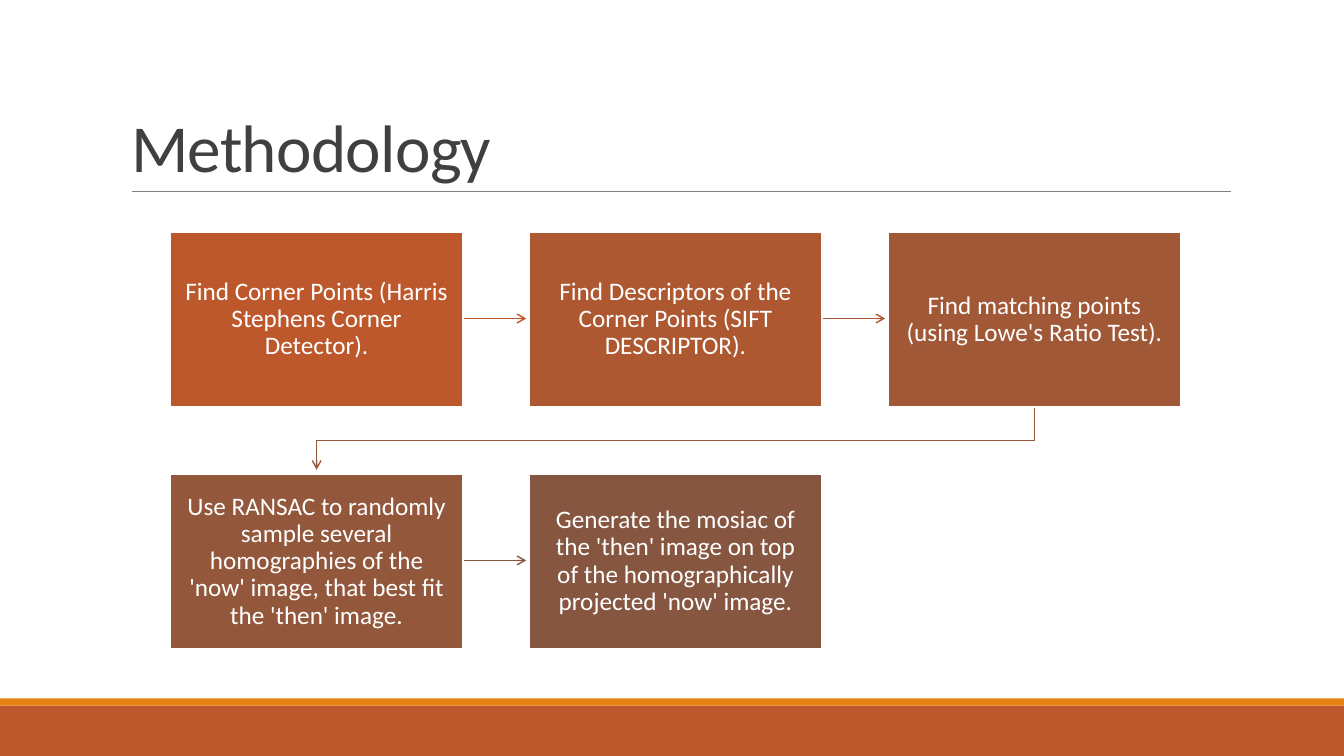
from lxml.etree import SubElement
from pptx import Presentation
from pptx.dml.color import RGBColor
from pptx.enum.shapes import MSO_CONNECTOR, MSO_SHAPE
from pptx.enum.text import MSO_ANCHOR, MSO_AUTO_SIZE, PP_ALIGN
from pptx.oxml.ns import qn
from pptx.util import Inches, Pt

WHITE = RGBColor(0xFF, 0xFF, 0xFF)
GRAY = RGBColor(0x80, 0x80, 0x80)
DARK_GRAY = RGBColor(0x40, 0x40, 0x40)
RUST = RGBColor(0xBD, 0x58, 0x2C)
ORANGE = RGBColor(0xE4, 0x83, 0x12)

STEPS = [
    ("Find Corner Points (Harris Stephens Corner Detector).", RUST),
    ("Find Descriptors of the Corner Points (SIFT DESCRIPTOR).", RGBColor(0xAE, 0x58, 0x32)),
    ("Find matching points (using Lowe's Ratio Test).", RGBColor(0xA0, 0x58, 0x37)),
    ("Use RANSAC to randomly sample several homographies of the 'now' image, that best fit the 'then' image.",
     RGBColor(0x93, 0x57, 0x3C)),
    ("Generate the mosiac of the 'then' image on top of the homographically projected 'now' image.",
     RGBColor(0x86, 0x56, 0x40)),
]
ARROW_COLORS = [RUST, RGBColor(0xAA, 0x58, 0x34), RGBColor(0x97, 0x57, 0x3A), RGBColor(0x86, 0x56, 0x40)]

COLUMNS = 3
GRID_LEFT, GRID_TOP = 1.69, 2.3
COLUMN_STEP, ROW_STEP = 3.56, 2.4
BOX_WIDTH, BOX_HEIGHT = 2.9, 1.74
ARROW_LENGTH = 0.63


class SlideBuilder:
    font_name = "Calibri"

    def __init__(self, slide):
        self.slide = slide

    def style_text(self, paragraph, size, color, alignment, line_spacing):
        paragraph.alignment = alignment
        paragraph.line_spacing = line_spacing
        for run in paragraph.runs:
            run.font.name = self.font_name
            run.font.size = Pt(size)
            run.font.color.rgb = color

    def title(self, text, left, top, width, height):
        shape = self.slide.shapes.title
        shape.left, shape.top = Inches(left), Inches(top)
        shape.width, shape.height = Inches(width), Inches(height)
        text_frame = shape.text_frame
        text_frame.text = text
        text_frame.auto_size = MSO_AUTO_SIZE.NONE
        text_frame.vertical_anchor = MSO_ANCHOR.BOTTOM
        paragraph = text_frame.paragraphs[0]
        self.style_text(paragraph, 48, DARK_GRAY, PP_ALIGN.LEFT, 0.85)
        paragraph.runs[0].font._element.set("spc", "-50")

    def rectangle(self, left, top, width, height, fill, outline=None):
        shape = self.slide.shapes.add_shape(
            MSO_SHAPE.RECTANGLE, Inches(left), Inches(top), Inches(width), Inches(height))
        shape.shadow.inherit = False
        shape.fill.solid()
        shape.fill.fore_color.rgb = fill
        if outline is None:
            shape.line.fill.background()
        else:
            shape.line.color.rgb = outline
            shape.line.width = Pt(1.25)
        return shape

    def step_box(self, text, left, top, fill):
        text_frame = self.rectangle(left, top, BOX_WIDTH, BOX_HEIGHT, fill, WHITE).text_frame
        text_frame.text = text
        text_frame.word_wrap = True
        text_frame.vertical_anchor = MSO_ANCHOR.MIDDLE
        text_frame.margin_left = text_frame.margin_right = Inches(0.14)
        text_frame.margin_top = text_frame.margin_bottom = Inches(0.15)
        paragraph = text_frame.paragraphs[0]
        self.style_text(paragraph, 18, WHITE, PP_ALIGN.CENTER, 0.9)
        paragraph.space_after = Pt(6.3)

    def line(self, start, end, color, width):
        connector = self.slide.shapes.add_connector(
            MSO_CONNECTOR.STRAIGHT, *(Inches(value) for value in (*start, *end)))
        connector.line.color.rgb = color
        connector.line.width = Pt(width)
        SubElement(connector._element.spPr, qn("a:effectLst"))
        return connector

    def arrow(self, start, end, color):
        self.add_arrowhead(self.line(start, end, color, 1))

    def bent_arrow(self, points, color):
        corners = [(Inches(x), Inches(y)) for x, y in points]
        builder = self.slide.shapes.build_freeform(*corners[0])
        builder.add_line_segments(corners[1:], close=False)
        shape = builder.convert_to_shape()
        shape.shadow.inherit = False
        shape.fill.background()
        shape.line.color.rgb = color
        shape.line.width = Pt(1)
        self.add_arrowhead(shape)

    def add_arrowhead(self, shape):
        SubElement(shape.line._get_or_add_ln(), qn("a:tailEnd"), type="arrow")


def box_position(index):
    row, column = divmod(index, COLUMNS)
    return GRID_LEFT + column * COLUMN_STEP, GRID_TOP + row * ROW_STEP


def main():
    presentation = Presentation()
    presentation.slide_width, presentation.slide_height = Inches(13.33), Inches(7.5)
    builder = SlideBuilder(presentation.slides.add_slide(presentation.slide_layouts[5]))

    builder.rectangle(0, 7, 13.33, 0.5, RUST)
    builder.rectangle(0, 6.93, 13.33, 0.07, ORANGE)
    builder.line((1.31, 1.9), (12.21, 1.9), GRAY, 0.5)
    builder.title("Methodology", 1.2, 0.31, 11, 1.59)

    for index, color in enumerate(ARROW_COLORS):
        left, top = box_position(index)
        next_left, next_top = box_position(index + 1)
        if next_top == top:
            middle = top + BOX_HEIGHT / 2 - 0.01
            start = left + BOX_WIDTH
            builder.arrow((start, middle), (start + ARROW_LENGTH, middle), color)
        else:
            start_x, end_x = left + BOX_WIDTH / 2, next_left + BOX_WIDTH / 2
            bottom = top + BOX_HEIGHT
            turn = (bottom + next_top) / 2
            builder.bent_arrow(
                [(start_x, bottom), (start_x, turn), (end_x, turn), (end_x, next_top - 0.04)], color)

    for index, (text, fill) in enumerate(STEPS):
        builder.step_box(text, *box_position(index), fill)

    presentation.save("out.pptx")


if __name__ == "__main__":
    main()
